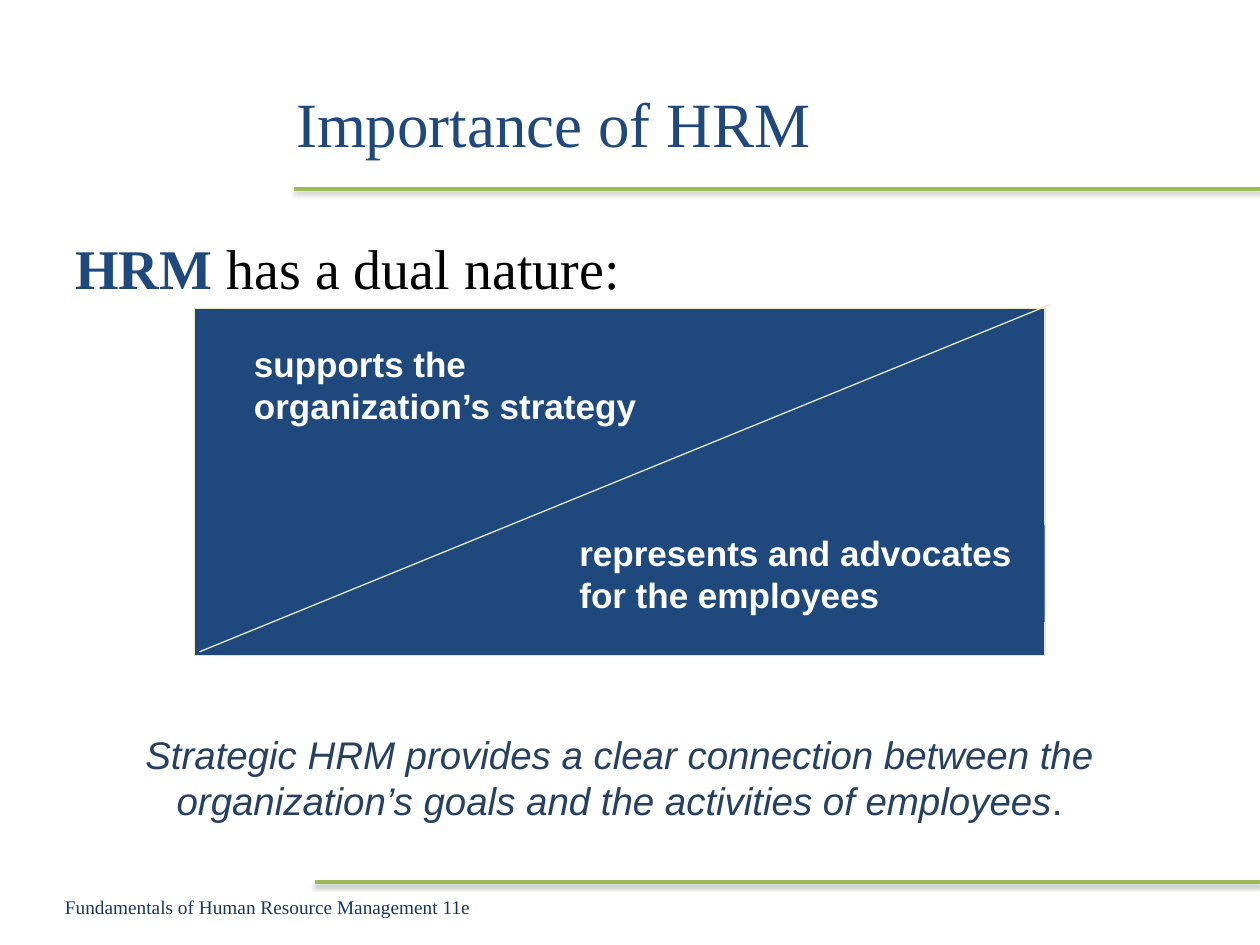
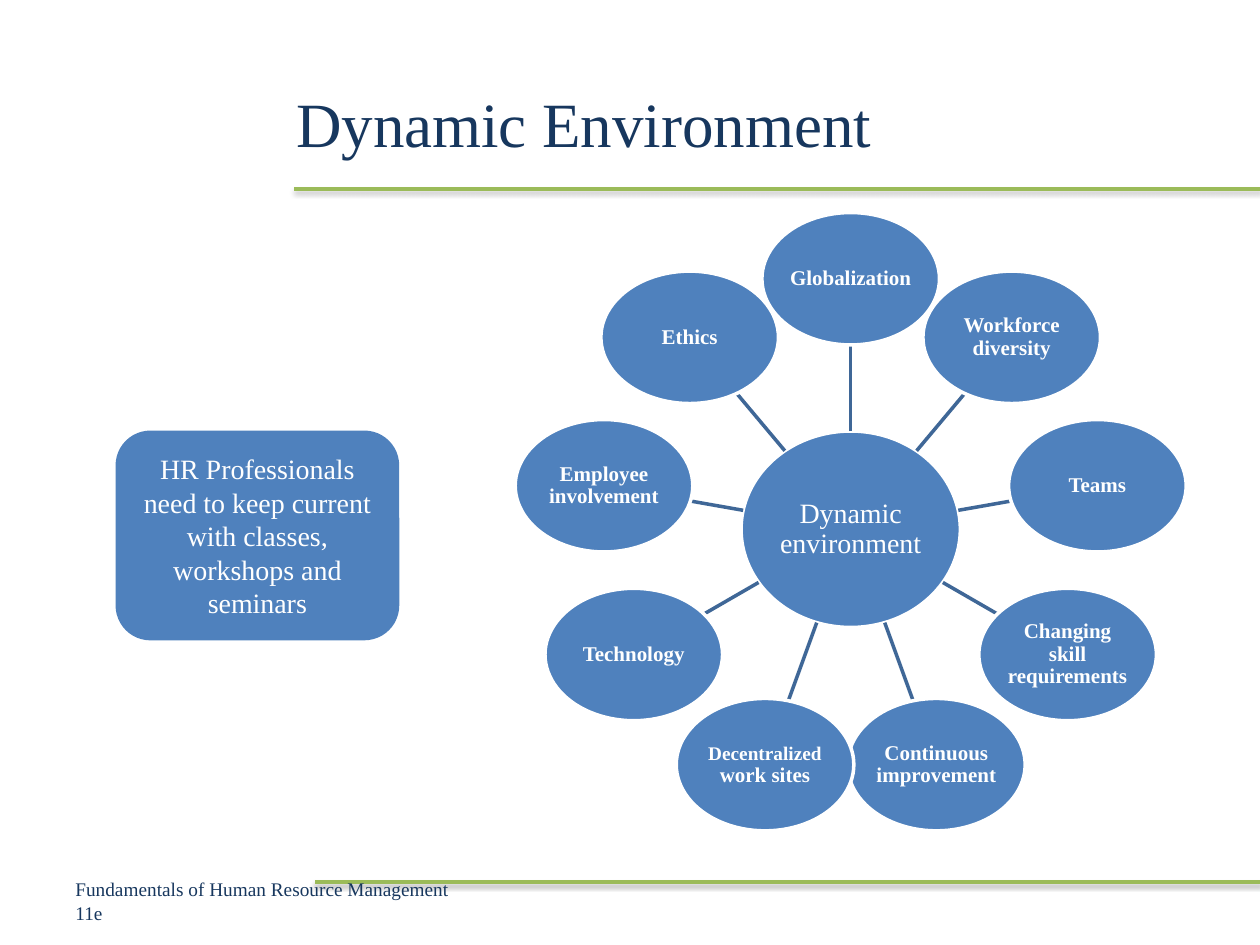
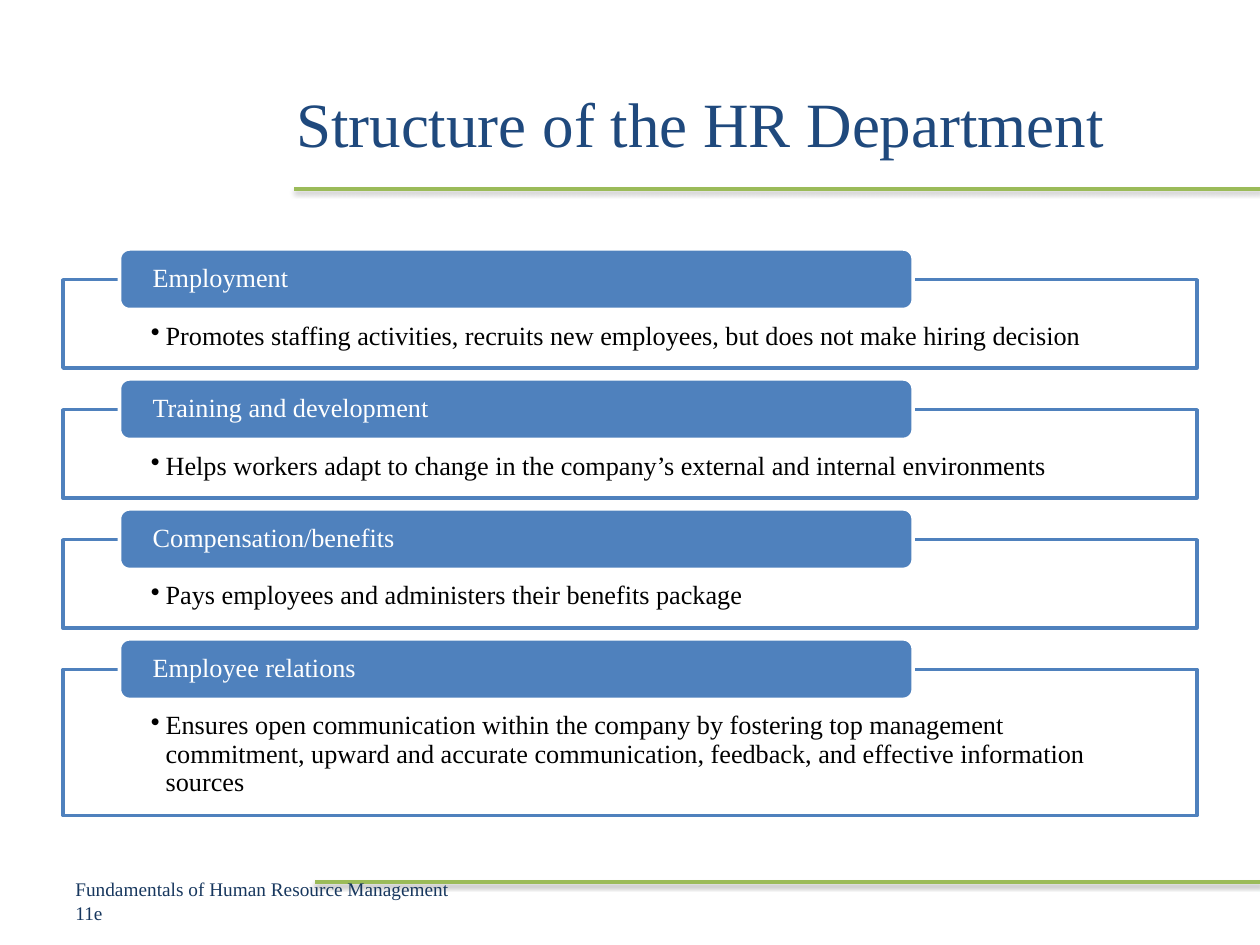
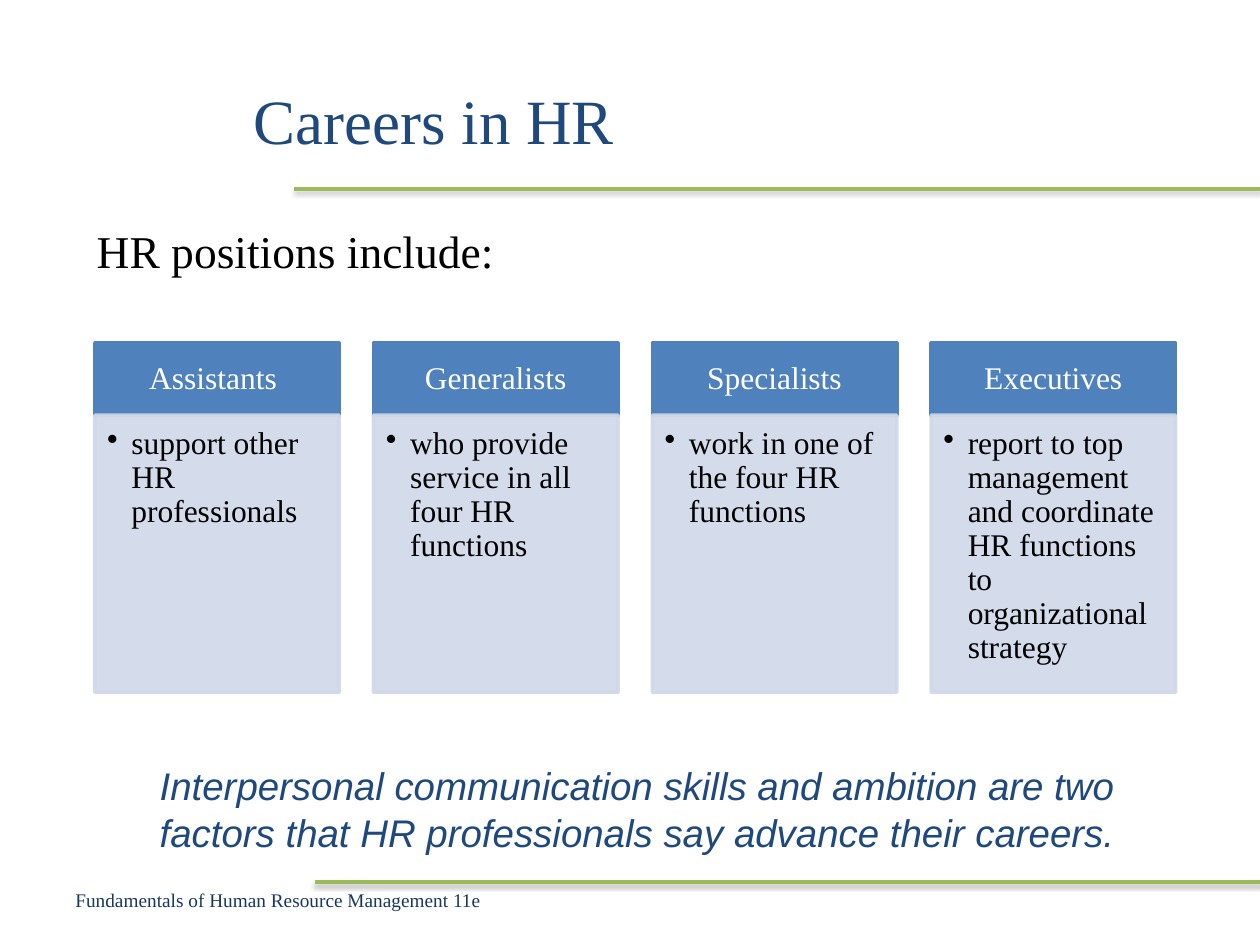
import math
from dataclasses import dataclass, replace

import pptx
import pptx.dml.color
import pptx.enum.shapes
import pptx.enum.text
import pptx.oxml
import pptx.oxml.ns
import pptx.util

Cm = pptx.util.Cm
Pt = pptx.util.Pt
SHAPE = pptx.enum.shapes.MSO_SHAPE
ALIGN = pptx.enum.text.PP_ALIGN
ANCHOR = pptx.enum.text.MSO_ANCHOR

SLIDE_WIDTH, SLIDE_HEIGHT = 25.4, 19.05
DEFAULT_INSETS = (0.25, 0.13, 0.25, 0.13)
HEADING_INSETS = (0.25, 0.25, 0.25, 0.13)
TITLE_INSETS = (0.25, 0.35, 0.25, 0.13)
TITLE_BOX = (5.72, 0.76, 18.42, 3.18)
FOOTER_BOX = (1.27, 17.65, 8.05, 1.02)


@dataclass(frozen=True)
class Style:
    size: float
    color: str
    font: str = "Times New Roman"
    bold: bool = False
    italic: bool = False


@dataclass(frozen=True)
class Theme:
    navy: str = "1F497D"
    deep_navy: str = "17375E"
    slate: str = "254061"
    blue: str = "4F81BD"
    spoke: str = "3F6797"
    pale_blue: str = "D0D8E8"
    green: str = "9BBB59"
    cream: str = "E6E6C2"
    white: str = "FFFFFF"
    black: str = "000000"
    sans: str = "Arial"
    title: float = 36
    lead: float = 32
    intro: float = 26
    closing: float = 22
    claim: float = 20
    column: float = 18
    callout: float = 16
    band: float = 15
    label: float = 12
    small: float = 11
    thick: float = 2
    thin: float = 0.75


THEME = Theme()


def rgb(color):
    return pptx.dml.color.RGBColor.from_string(color)


def a_element(tag, **attributes):
    """Make an element in the DrawingML namespace."""
    element = pptx.oxml.parse_xml(f"<a:{tag} {pptx.oxml.ns.nsdecls('a')}/>")
    for name, value in attributes.items():
        element.set(name, str(value))
    return element


def format_span(span, style):
    span.font.name = style.font
    span.font.size = Pt(style.size)
    span.font.bold = style.bold
    span.font.italic = style.italic
    span.font.color.rgb = rgb(style.color)


def append_span(para, text, style):
    span = para.add_run()
    span.text = text
    format_span(span, style)


def write(box, text, style, align=ALIGN.LEFT, anchor=ANCHOR.TOP,
          insets=DEFAULT_INSETS, spacing=1.0, bullet_indent=0):
    """Fill a box with one paragraph and return that paragraph."""
    frame = box.text_frame
    frame.word_wrap = True
    frame.vertical_anchor = anchor
    (frame.margin_left, frame.margin_top,
     frame.margin_right, frame.margin_bottom) = map(Cm, insets)
    para = frame.paragraphs[0]
    para.text = text
    para.alignment = align
    para.line_spacing = spacing
    if bullet_indent:
        properties = para._p.get_or_add_pPr()
        properties.set("marL", str(Cm(bullet_indent)))
        properties.set("indent", str(-Cm(bullet_indent)))
        properties.append(a_element("buChar", char="•"))
    for span in para.runs:
        format_span(span, style)
    return para


def add_text(page, bounds, text, style, **layout):
    box = page.shapes.add_textbox(*map(Cm, bounds))
    return write(box, text, style, **layout)


def add_block(page, kind, bounds, fill):
    block = page.shapes.add_shape(kind, *map(Cm, bounds))
    block.shadow.inherit = False
    block.fill.solid()
    block.fill.fore_color.rgb = rgb(fill)
    block.line.fill.background()
    return block


def outline(block, color, width=THEME.thick):
    block.line.color.rgb = rgb(color)
    block.line.width = Pt(width)


def fade(block, percent=90):
    """Make the colours set so far on a block slightly transparent."""
    for color in block._element.spPr.iter(pptx.oxml.ns.qn("a:srgbClr")):
        color.append(a_element("alpha", val=percent * 1000))


def add_line(page, start, end, color, width=THEME.thick):
    """Draw a line and return its empty effect list."""
    line = page.shapes.add_connector(
        pptx.enum.shapes.MSO_CONNECTOR.STRAIGHT, *map(Cm, start + end))
    line.line.color.rgb = rgb(color)
    line.line.width = Pt(width)
    effects = a_element("effectLst")
    line._element.spPr.append(effects)
    return effects


def add_rule(page, left, top):
    """Draw a green rule with a soft shadow out to the right edge."""
    effects = add_line(page, (left, top), (SLIDE_WIDTH, top), THEME.green)
    shadow = a_element("outerShdw", blurRad=Pt(3.1), dist=Pt(1.6),
                       dir=90 * 60000, rotWithShape=0)
    color = a_element("srgbClr", val=THEME.black)
    color.append(a_element("alpha", val=38000))
    shadow.append(color)
    effects.append(shadow)


def add_page(deck, title, color=THEME.navy, title_box=TITLE_BOX,
             footer_box=FOOTER_BOX):
    page = deck.slides.add_slide(deck.slide_layouts[6])
    add_rule(page, 5.93, 3.81)
    add_rule(page, 6.35, 17.78)
    add_text(page, title_box, title, Style(THEME.title, color),
             anchor=ANCHOR.MIDDLE, insets=TITLE_INSETS)
    add_text(page, footer_box, "Fundamentals of Human Resource Management 11e",
             Style(THEME.small, THEME.deep_navy), anchor=ANCHOR.MIDDLE)
    return page


def ellipse_reach(size, angle):
    """Distance from the centre of an ellipse to its edge at an angle."""
    width, height = size
    return 0.5 / math.hypot(math.cos(angle) / width, math.sin(angle) / height)


def polar(centre, distance, angle):
    return (centre[0] + distance * math.cos(angle),
            centre[1] + distance * math.sin(angle))


def add_bubble(page, centre, size, text, style):
    width, height = size
    bounds = (centre[0] - width / 2, centre[1] - height / 2, width, height)
    bubble = add_block(page, SHAPE.OVAL, bounds, THEME.blue)
    outline(bubble, THEME.white)
    return write(bubble, text, style, align=ALIGN.CENTER,
                 anchor=ANCHOR.MIDDLE, insets=(0.03,) * 4, spacing=0.9)


def add_wheel(page, hub_text, labels):
    """Draw a hub with labelled bubbles, clockwise from the top."""
    centre, radius = (17.15, 10.67), 5.05
    hub_size, bubble_size = (4.42, 3.96), (3.58, 2.67)
    label_style = Style(THEME.label, THEME.white, bold=True)
    add_bubble(page, centre, hub_size, hub_text,
               Style(THEME.callout, THEME.white))
    for index, (first, rest) in enumerate(labels):
        angle = math.radians(360 * index / len(labels) - 90)
        inner = ellipse_reach(hub_size, angle)
        outer = radius - ellipse_reach(bubble_size, angle)
        add_line(page, polar(centre, inner, angle),
                 polar(centre, outer, angle), THEME.spoke)
        style = replace(label_style, size=THEME.small) if rest else label_style
        para = add_bubble(page, polar(centre, radius, angle), bubble_size,
                          first, style)
        if rest:
            append_span(para, rest, label_style)


def add_duty(page, top, height, name, duty):
    """Draw a framed duty with its name on a tab over the top edge."""
    frame = add_block(page, SHAPE.RECTANGLE, (1.27, top, 22.86, height),
                      THEME.white)
    fade(frame)
    outline(frame, THEME.blue)
    write(frame, duty, Style(THEME.band, THEME.black),
          insets=(1.77, 0.86, 1.77, 0.3), spacing=0.9, bullet_indent=0.3)
    tab = add_block(page, SHAPE.ROUNDED_RECTANGLE,
                    (2.41, top - 0.62, 16, 1.22), THEME.blue)
    outline(tab, THEME.white)
    write(tab, name, Style(THEME.band, THEME.white), anchor=ANCHOR.MIDDLE,
          insets=(0.61, 0, 0.61, 0), spacing=0.9)


def add_position(page, left, name, role):
    """Draw one column: a heading over a pale description."""
    width, top, head_height, body_height = 4.93, 6.92, 1.45, 5.59
    head = add_block(page, SHAPE.RECTANGLE, (left, top, width, head_height),
                     THEME.blue)
    outline(head, THEME.blue)
    write(head, name, Style(THEME.column, THEME.white), align=ALIGN.CENTER,
          anchor=ANCHOR.MIDDLE, insets=(0.36, 0.2, 0.36, 0.2), spacing=0.9)
    body = add_block(page, SHAPE.RECTANGLE,
                     (left, top + head_height, width, body_height),
                     THEME.pale_blue)
    outline(body, THEME.pale_blue)
    fade(body)
    write(body, role, Style(THEME.column, THEME.black),
          insets=(0.25, 0.25, 0.36, 0.41), spacing=0.9, bullet_indent=0.49)


def build_importance(deck):
    page = add_page(deck, "Importance of HRM",
                    footer_box=(1.06, 17.99, 9.1, 0.59))
    lead = Style(THEME.lead, THEME.navy, bold=True)
    para = add_text(page, (1.27, 4.45, 22.86, 1.91), "HRM ", lead,
                    insets=HEADING_INSETS)
    append_span(para, "has a dual nature:",
                replace(lead, color=THEME.black, bold=False))

    panel = add_block(page, SHAPE.RECTANGLE, (3.92, 6.22, 17.15, 6.99),
                      THEME.navy)
    outline(panel, THEME.cream, THEME.thin)
    add_line(page, (4.02, 13.14), (21.17, 6.14), THEME.cream, THEME.thin)
    claims = [
        ((4.87, 6.77, 8.47, 1.96), "supports the organization’s strategy"),
        ((11.43, 10.58, 9.63, 1.96),
         "represents and advocates for the employees"),
    ]
    for bounds, claim in claims:
        write(add_block(page, SHAPE.RECTANGLE, bounds, THEME.navy), claim,
              Style(THEME.claim, THEME.white, THEME.sans, bold=True))

    closing = Style(THEME.closing, THEME.slate, THEME.sans, italic=True)
    para = add_text(
        page, (2.33, 14.61, 20.32, 2.12),
        "Strategic HRM provides a clear connection between the "
        "organization’s goals and the activities of employees",
        closing, align=ALIGN.CENTER)
    append_span(para, ".", replace(closing, italic=False))


def build_environment(deck):
    page = add_page(deck, "Dynamic Environment", THEME.deep_navy)
    add_wheel(page, "Dynamic environment", [
        ("Globalization", ""),
        ("Workforce diversity", ""),
        ("Teams", ""),
        ("Changing skill requirements", ""),
        ("Continuous improvement", ""),
        ("Decentralized", " work sites"),
        ("Technology", ""),
        ("Employee involvement", ""),
        ("Ethics", ""),
    ])
    callout = add_block(page, SHAPE.ROUNDED_RECTANGLE,
                        (2.33, 8.68, 5.72, 4.23), THEME.blue)
    write(callout, "HR Professionals need to keep current with classes, "
          "workshops and seminars", Style(THEME.callout, THEME.white),
          align=ALIGN.CENTER, anchor=ANCHOR.MIDDLE)


def build_structure(deck):
    page = add_page(deck, "Structure of the HR Department")
    one_line, three_lines, gap = 1.78, 2.94, 0.84
    duties = [
        ("Employment", one_line,
         "Promotes staffing activities, recruits new employees, "
         "but does not make hiring decision"),
        ("Training and development", one_line,
         "Helps workers adapt to change in the company’s external "
         "and internal environments"),
        ("Compensation/benefits", one_line,
         "Pays employees and administers their benefits package"),
        ("Employee relations", three_lines,
         "Ensures open communication within the company by fostering top "
         "management commitment, upward and accurate communication, "
         "feedback, and effective information sources"),
    ]
    top = 5.64
    for name, height, duty in duties:
        add_duty(page, top, height, name, duty)
        top += height + gap


def build_careers(deck):
    page = add_page(deck, "Careers in HR", title_box=(4.87, 1.4, 15.67, 1.8),
                    footer_box=(1.27, 17.65, 10.67, 0.97))
    add_text(page, (1.7, 4.24, 21.39, 1.37), "HR positions include:",
             Style(THEME.intro, THEME.black), insets=HEADING_INSETS)
    add_text(page, (2.97, 15.24, 20.12, 2.12),
             "Interpersonal communication skills and ambition are two "
             "factors that HR professionals say advance their careers.",
             Style(THEME.closing, THEME.navy, THEME.sans, italic=True))
    positions = [
        ("Assistants ", "support other HR professionals"),
        ("Generalists", "who provide service in all four HR functions"),
        ("Specialists", "work in one of the four HR functions"),
        ("Executives", "report to top management and coordinate "
         "HR functions \vto organizational strategy"),
    ]
    for index, (name, role) in enumerate(positions):
        add_position(page, 1.91 + 5.62 * index, name, role)


def main():
    deck = pptx.Presentation()
    deck.slide_width = Cm(SLIDE_WIDTH)
    deck.slide_height = Cm(SLIDE_HEIGHT)
    build_importance(deck)
    build_environment(deck)
    build_structure(deck)
    build_careers(deck)
    deck.save("out.pptx")


if __name__ == "__main__":
    main()
